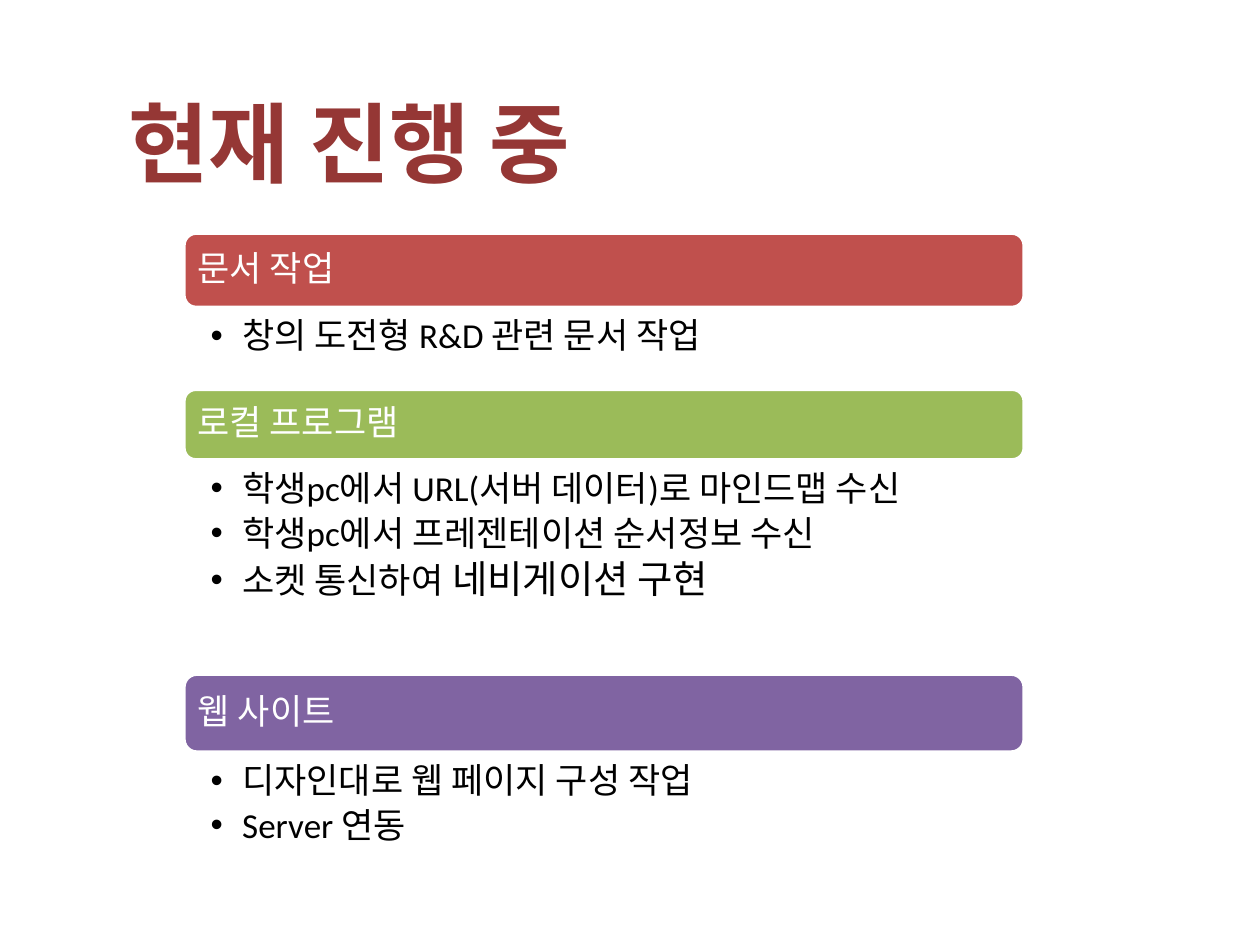
"""Build the work-in-progress slide: a title and three headed bullet lists."""
from lxml import etree
from pptx import Presentation
from pptx.dml.color import RGBColor
from pptx.enum.shapes import MSO_SHAPE
from pptx.enum.text import MSO_ANCHOR, MSO_AUTO_SIZE, PP_ALIGN
from pptx.oxml.ns import qn
from pptx.util import Pt

ROUND = MSO_SHAPE.ROUNDED_RECTANGLE
TOP, MIDDLE = MSO_ANCHOR.TOP, MSO_ANCHOR.MIDDLE
GROW, LEFT_TEXT = MSO_AUTO_SIZE.SHAPE_TO_FIT_TEXT, PP_ALIGN.LEFT

COLORS = {
    "title": "953735", "red": "C0504D", "green": "9BBB59",
    "purple": "8064A2", "white": "FFFFFF", "black": "000000",
}
TITLE = "현재 진행 중"
PARTS = [
    {"head": "문서 작업", "fill": "red", "top": 133.2, "bar": 42.5, "list": 61.2,
     "items": [[("창의 도전형 R&D 관련 문서 작업", 20)]]},
    {"head": "로컬 프로그램", "fill": "green", "top": 222.5, "bar": 40.3, "list": 116.6,
     "items": [[("학생pc에서 URL(서버 데이터)로 마인드맵 수신", 20)],
               [("학생pc에서 프레젠테이션 순서정보 수신", 20)],
               [("소켓 통신하여", 20), (" 네비게이션 구현", 22)]]},
    {"head": "웹 사이트", "fill": "purple", "top": 385.2, "bar": 44.6, "list": 73.4,
     "items": [[("디자인대로 웹 페이지 구성 작업", 20)],
               [("Server 연동", 20)]]},
]
LEFT, WIDTH, GAP = 105.1, 480.2, 4.3
HEAD_PAD = (5.8, 5.8, 5.8, 5.8)
LIST_PAD = (15.3, 2, 11.5, 2)
INDENT = 18


def color(name):
    return RGBColor.from_string(COLORS[name])


def setup(frame, pad, anchor):
    sides = ("left", "top", "right", "bottom")
    form = {f"margin_{side}": Pt(size) for side, size in zip(sides, pad)}
    form.update(word_wrap=True, vertical_anchor=anchor)
    for key, value in form.items():
        setattr(frame, key, value)


def write(para, runs, tint, face="Calibri", bold=False):
    para.alignment = LEFT_TEXT
    for text, size in runs:
        run = para.add_run()
        run.text = text
        form = {"size": Pt(size), "name": face, "bold": bold}
        for key, value in form.items():
            setattr(run.font, key, value)
        run.font.color.rgb = color(tint)


def bullet(para):
    props = para._p.get_or_add_pPr()
    props.set("marL", str(Pt(INDENT)))
    props.set("indent", str(-Pt(INDENT)))
    etree.SubElement(props, qn("a:buFont")).set("typeface", "Arial")
    etree.SubElement(props, qn("a:buChar")).set("char", "•")


def add_head(slide, part):
    bar = slide.shapes.add_shape(
        ROUND, Pt(LEFT), Pt(part["top"]), Pt(WIDTH), Pt(part["bar"]))
    bar.shadow.inherit = False
    bar.fill.solid()
    bar.fill.fore_color.rgb = color(part["fill"])
    bar.line.color.rgb = color("white")
    bar.line.width = Pt(2)
    setup(bar.text_frame, HEAD_PAD, MIDDLE)
    para = bar.text_frame.paragraphs[0]
    para.line_spacing = 0.9
    write(para, [(part["head"], 20)], "white")


def add_list(slide, part):
    top = part["top"] + part["bar"] + GAP
    box = slide.shapes.add_textbox(Pt(LEFT), Pt(top), Pt(WIDTH), Pt(part["list"]))
    frame = box.text_frame
    setup(frame, LIST_PAD, TOP)
    for i, runs in enumerate(part["items"]):
        para = frame.add_paragraph() if i else frame.paragraphs[0]
        bullet(para)
        para.line_spacing = 0.9
        para.space_after = Pt(4)
        write(para, runs, "black")


def main():
    deck = Presentation()
    deck.slide_width, deck.slide_height = Pt(720), Pt(540)
    slide = deck.slides.add_slide(deck.slide_layouts[6])
    title = slide.shapes.add_textbox(Pt(66.2), Pt(47.5), Pt(534.2), Pt(67.7))
    setup(title.text_frame, (7.2, 3.6, 7.2, 3.6), TOP)
    title.text_frame.auto_size = GROW
    write(title.text_frame.paragraphs[0], [(TITLE, 50)], "title",
          "Noto Sans CJK KR", True)
    for part in PARTS:
        add_head(slide, part)
        add_list(slide, part)
    deck.save("out.pptx")


if __name__ == "__main__":
    main()
